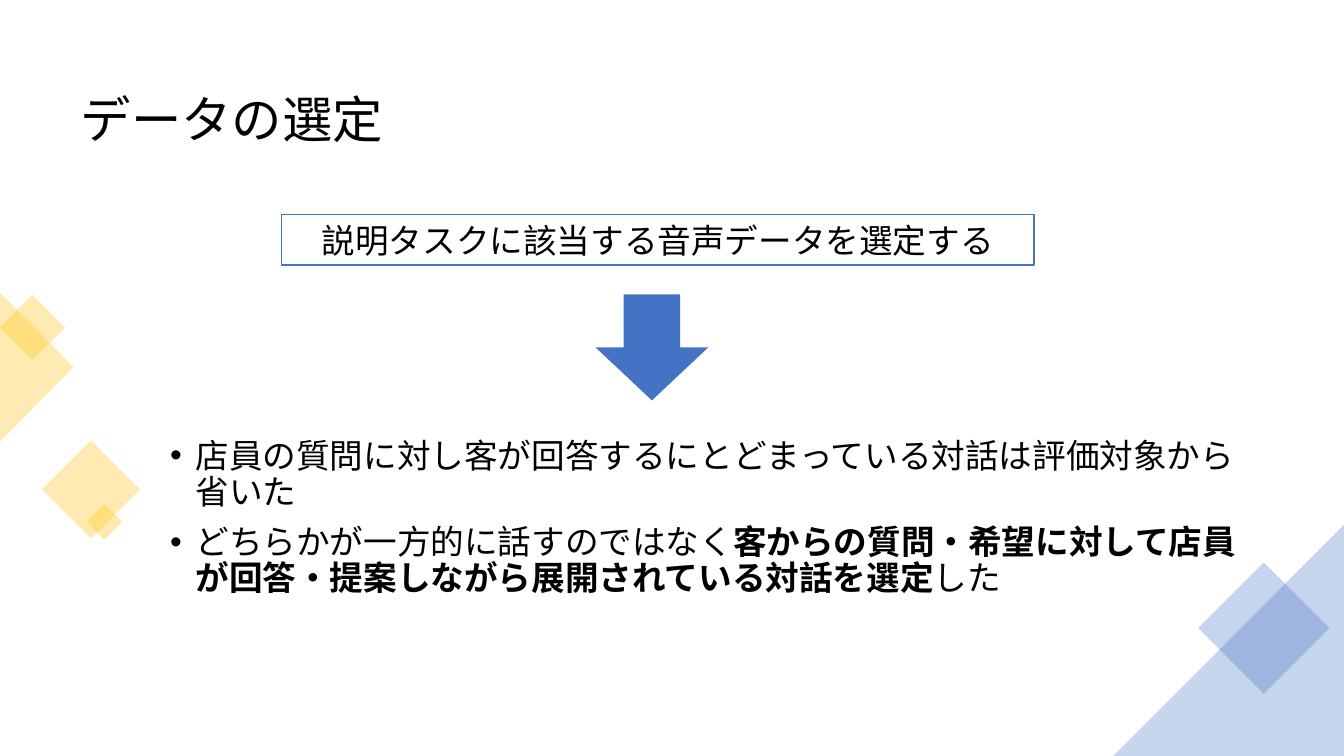
from dataclasses import dataclass

from lxml import etree
from pptx import Presentation
from pptx.dml.color import RGBColor
from pptx.enum import shapes, text
from pptx.oxml import ns
from pptx.util import Cm, Pt


@dataclass(frozen=True)
class Theme:
    """Colours, font and type sizes of the slide."""
    gold: str = "FFC000"
    blue: str = "4472C4"
    ink: str = "000000"
    font: str = "Noto Sans CJK JP"
    head: int = 36
    base: int = 24
    alpha: int = 30


@dataclass(frozen=True)
class Box:
    """Left, top, width and height in centimetres."""
    x: float
    y: float
    w: float
    h: float

    def emu(self) -> tuple:
        """Give the four lengths for python-pptx."""
        return Cm(self.x), Cm(self.y), Cm(self.w), Cm(self.h)


@dataclass(frozen=True)
class Gem:
    """A translucent, turned corner ornament."""
    box: Box
    color: str
    kind: int = shapes.MSO_SHAPE.RECTANGLE
    turn: int = 45


@dataclass(frozen=True)
class Part:
    """A stretch of text in one weight."""
    words: str
    bold: bool = False


THEME = Theme()
TITLE = Box(1.78, 1.73, 13.87, 2.72)
TASK = Box(7.09, 5.41, 18.97, 1.27)
ARROW = Box(15.01, 7.42, 2.84, 2.67)
BODY = Box(4.04, 9.68, 27.86, 6.78)
WEDGE = [(0, 7.37), (1.85, 9.25), (0, 11.13)]
GEMS = [
    Gem(Box(0.23, 7.67, 1.17, 1.17), THEME.gold),
    Gem(Box(1.42, 11.46, 1.75, 1.75), THEME.gold),
    Gem(Box(2.31, 12.83, 0.64, 0.64), THEME.gold),
    Gem(Box(28.27, 15.54, 8.28, 4.11), THEME.blue,
        shapes.MSO_SHAPE.ISOSCELES_TRIANGLE, 135),
    Gem(Box(30.68, 14.66, 2.34, 2.34), THEME.blue),
]
POINTS = [
    [Part("店員の質問に対し客が回答するにとどまっている対話は評価対象から省いた")],
    [Part("どちらかが一方的に話すのではなく"),
     Part("客からの質問・希望に対して店員が回答・提案しながら展開されている対話を選定", True),
     Part("した")],
]


def tint(shape, color: str, alpha: int = 100) -> None:
    """Fill a shape without line or shadow, at the given opacity."""
    shape.shadow.inherit = False
    shape.line.fill.background()
    shape.fill.solid()
    shape.fill.fore_color.rgb = RGBColor.from_string(color)
    if alpha < 100:
        tone = shape.fill._xPr.find(".//" + ns.qn("a:srgbClr"))
        etree.SubElement(tone, ns.qn("a:alpha"), val=str(alpha * 1000))


def write(para, parts: list, size: int) -> None:
    """Add the parts to a paragraph run by run."""
    for part in parts:
        run = para.add_run()
        run.text = part.words
        font = run.font
        font.size, font.bold, font.name = Pt(size), part.bold, THEME.font
        font.color.rgb = RGBColor.from_string(THEME.ink)
        etree.SubElement(font._element, ns.qn("a:ea"), typeface=THEME.font)


def bullet(para) -> None:
    """Give a paragraph a round bullet and a hanging indent."""
    props = para._p.get_or_add_pPr()
    props.set("marL", str(Cm(0.64)))
    props.set("indent", str(-Cm(0.64)))
    etree.SubElement(props, ns.qn("a:buFont"), typeface="Arial")
    etree.SubElement(props, ns.qn("a:buChar"), char="•")


def head(slide) -> None:
    """Place and format the title."""
    title = slide.shapes.title
    title.left, title.top, title.width, title.height = TITLE.emu()
    frame = title.text_frame
    frame.vertical_anchor = text.MSO_ANCHOR.MIDDLE
    para = frame.paragraphs[0]
    para.alignment, para.line_spacing = text.PP_ALIGN.LEFT, 0.9
    write(para, [Part("データの選定")], THEME.head)


def adorn(slide) -> None:
    """Draw the ornaments at the slide's edges."""
    start, *rest = [(Cm(x), Cm(y)) for x, y in WEDGE]
    path = slide.shapes.build_freeform(*start)
    path.add_line_segments(rest, close=True)
    tint(path.convert_to_shape(), THEME.gold, THEME.alpha)
    for gem in GEMS:
        shape = slide.shapes.add_shape(gem.kind, *gem.box.emu())
        shape.rotation = gem.turn
        tint(shape, gem.color, THEME.alpha)


def task(slide) -> None:
    """Draw the framed task."""
    shape = slide.shapes.add_shape(shapes.MSO_SHAPE.RECTANGLE, *TASK.emu())
    shape.shadow.inherit = False
    shape.fill.background()
    shape.line.color.rgb = RGBColor.from_string(THEME.blue)
    shape.line.width = Pt(1)
    frame = shape.text_frame
    frame.word_wrap = True
    frame.vertical_anchor = text.MSO_ANCHOR.TOP
    frame.auto_size = text.MSO_AUTO_SIZE.SHAPE_TO_FIT_TEXT
    para = frame.paragraphs[0]
    para.alignment = text.PP_ALIGN.CENTER
    write(para, [Part("説明タスクに該当する音声データを選定する")], THEME.base)


def body(slide) -> None:
    """Write the bulleted points."""
    frame = slide.shapes.add_textbox(*BODY.emu()).text_frame
    frame.word_wrap = True
    frame.vertical_anchor = text.MSO_ANCHOR.MIDDLE
    for i, parts in enumerate(POINTS):
        para = frame.add_paragraph() if i else frame.paragraphs[0]
        para.line_spacing, para.space_before = 0.9, Pt(10)
        bullet(para)
        write(para, parts, THEME.base)


def main() -> None:
    """Build and save the slide."""
    deck = Presentation()
    deck.slide_width, deck.slide_height = Cm(33.87), Cm(19.05)
    slide = deck.slides.add_slide(deck.slide_layouts[5])
    head(slide)
    adorn(slide)
    task(slide)
    body(slide)
    arrow = slide.shapes.add_shape(shapes.MSO_SHAPE.DOWN_ARROW, *ARROW.emu())
    tint(arrow, THEME.blue)
    deck.save("out.pptx")


main()
